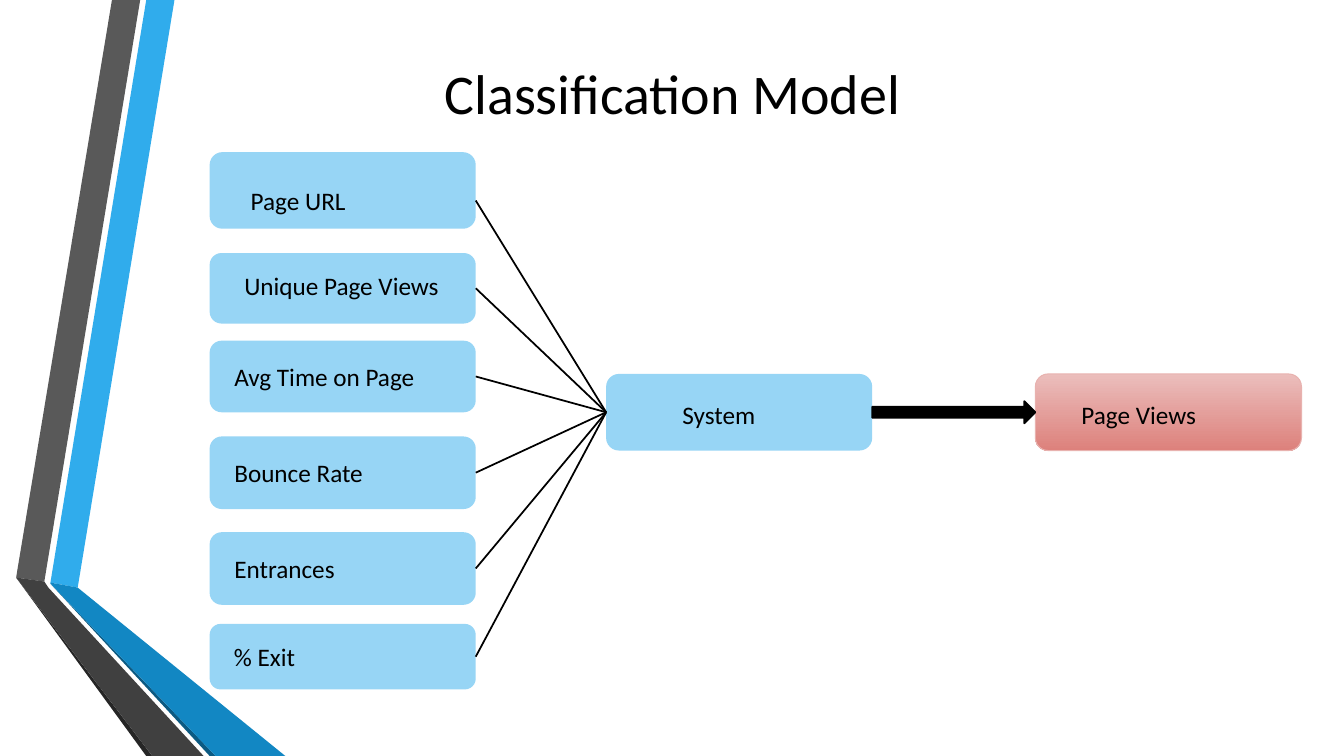
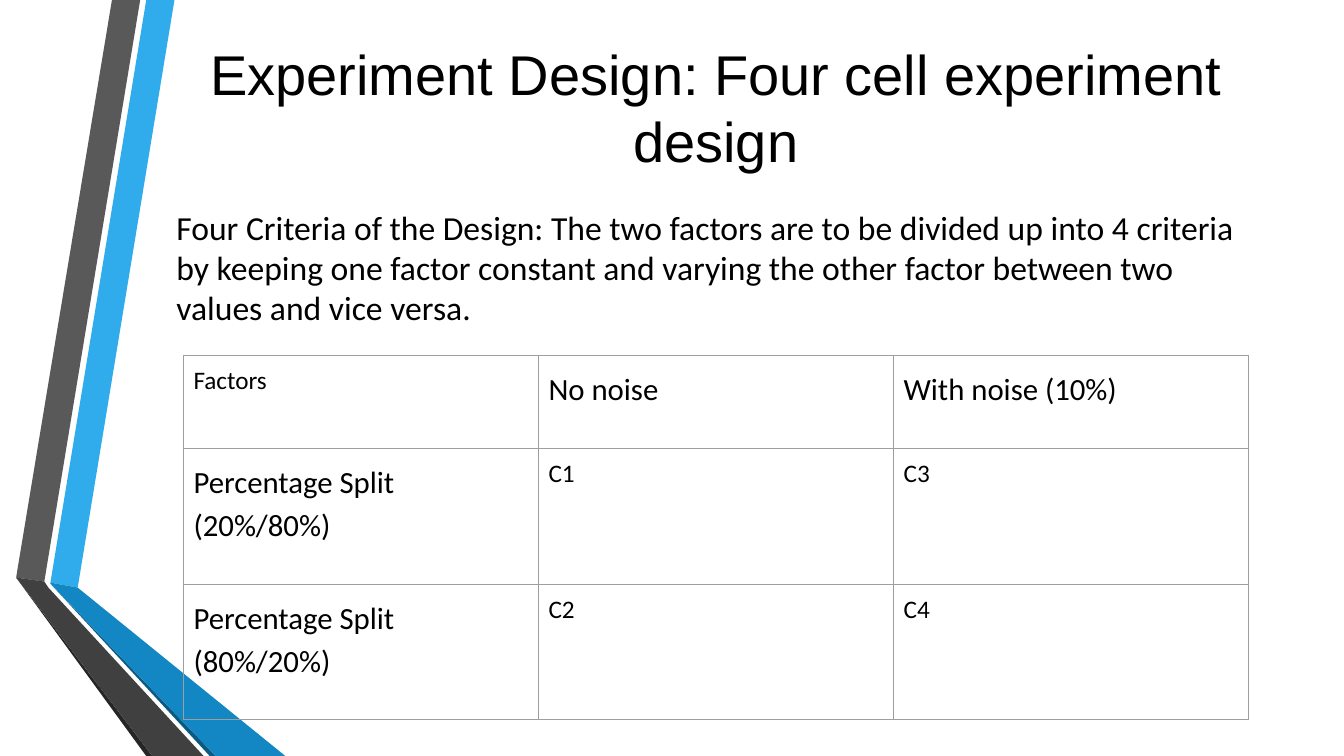
from typing import NamedTuple

from lxml import etree
from pptx import Presentation
from pptx import util as u
from pptx.dml import color
from pptx.enum import shapes, text
from pptx.oxml import ns

# Shared look: lengths are percentages of the slide's width and height
WIDTH, HEIGHT = u.Inches(13.33), u.Inches(7.5)
BLACK, BLUE, GRID_GRAY = "000000", "30ACEC", "9E9E9E"
BODY_FONT, TITLE_FONT_SIZE = "Calibri", 40
WIDE_INSET = u.Inches(0.13)


class Area(NamedTuple):
    left: float
    top: float
    width: float
    height: float

    @property
    def right(self) -> float:
        return self.left + self.width

    @property
    def middle(self) -> float:
        return self.top + self.height / 2


class Band(NamedTuple):
    fill: str
    points: list[tuple[float, float]]


class Node(NamedTuple):
    label: str
    area: Area
    indent: float  # left inset of the label, inches
    drop: float = 0  # label shift below the middle, inches


class Entry(NamedTuple):
    label: str
    size: int
    spacing: float = 1.0


BANDS = [
    Band(BLUE, [(3.75, 77.07), (5.78, 77.73), (12.98, 0), (10.88, 0)]),
    Band("595959", [(10.43, 0), (8.33, 0), (1.2, 76.4), (3.3, 76.93)]),
    Band("262626", [(1.2, 76.4), (10.88, 100), (11.33, 100)]),
    Band("0C5A82", [(3.75, 77.2), (15.6, 100), (16.05, 100)]),
    Band("1287C3", [(3.75, 77.2), (16.05, 100), (21.23, 100),
                    (5.78, 77.73), (3.75, 77.07)]),
    Band("404040", [(15.15, 100), (3.6, 77.73), (3.3, 76.93),
                    (1.2, 76.4), (11.33, 100)]),
]

# Model diagram
NODE_WIDTH, NODE_HEIGHT = 19.8, 10.13
INPUT_LEFT = 15.6


def input_node(label: str, top: float, height: float, indent: float = 0.21,
               drop: float = 0) -> Node:
    return Node(label, Area(INPUT_LEFT, top, NODE_WIDTH, height), indent, drop)


INPUTS = [
    input_node("Page URL", 20.13, NODE_HEIGHT, 0.37, 0.1),
    input_node("Unique Page Views", 33.47, 9.33, 0.31, -0.03),
    input_node("Avg Time on Page", 45.07, 9.47),
    input_node("Bounce Rate", 57.73, 9.6),
    input_node("Entrances", 70.4, 9.6),
    input_node("% Exit", 82.53, 8.67),
]
SYSTEM = Node("System", Area(45.1, 49.47, NODE_WIDTH, NODE_HEIGHT), 0.72, 0.02)
OUTPUT = Node("Page Views", Area(77.04, 49.47, NODE_WIDTH, NODE_HEIGHT), 0.42, 0.02)
ARROW_HEIGHT = 2.93

# Experiment table
TABLE_AREA = Area(13.65, 47.07, 79.25, 48.1)
ROW_SHARES = [12.3, 17.9, 17.9]
CRITERIA = ("Four Criteria of the Design: The two factors are to be divided up "
            "into 4 criteria by keeping one factor constant and varying the other "
            "factor between two values and vice versa.")


def heading(label: str) -> Entry:
    return Entry(label, 22, 1.15)


def plain(label: str) -> Entry:
    return Entry(label, 18)


ENTRIES = [
    [plain("Factors"), heading("No noise"), heading("With noise (10%)")],
    [heading("Percentage Split (20%/80%)"), plain("C1"), plain("C3")],
    [heading("Percentage Split (80%/20%)"), plain("C2"), plain("C4")],
]


# Shared helpers
def rgb(value: str) -> color.RGBColor:
    return color.RGBColor.from_string(value)


def across(share: float) -> int:
    return u.Emu(round(WIDTH * share / 100))


def down(share: float) -> int:
    return u.Emu(round(HEIGHT * share / 100))


def place(area: Area) -> tuple[int, int, int, int]:
    return (across(area.left), down(area.top),
            across(area.width), down(area.height))


def set_insets(frame, left: int, top: int, right: int, bottom: int) -> None:
    frame.margin_left, frame.margin_top = left, top
    frame.margin_right, frame.margin_bottom = right, bottom


def write(frame, label: str, size: float, font: str = BODY_FONT,
          align=text.PP_ALIGN.LEFT, spacing: float = 1.0) -> None:
    frame.word_wrap = True
    para = frame.paragraphs[0]
    para.text = label
    para.alignment = align
    para.line_spacing = spacing
    para.font.name, para.font.size = font, u.Pt(size)
    para.font.color.rgb = rgb(BLACK)


def paint(shape, fill: str) -> None:
    shape.shadow.inherit = False
    shape.fill.solid()
    shape.fill.fore_color.rgb = rgb(fill)
    shape.line.fill.background()


def new_page(deck, title: str, area: Area, font: str):
    page = deck.slides.add_slide(deck.slide_layouts[5])
    for band in BANDS:
        points = [(across(x), down(y)) for x, y in band.points]
        builder = page.shapes.build_freeform(*points[0], scale=1.0)
        builder.add_line_segments(points[1:], close=True)
        paint(builder.convert_to_shape(), band.fill)
    box = page.shapes.title
    box.left, box.top, box.width, box.height = place(area)
    frame = box.text_frame
    frame.auto_size = text.MSO_AUTO_SIZE.NONE
    frame.vertical_anchor = text.MSO_ANCHOR.MIDDLE
    set_insets(frame, *[WIDE_INSET] * 4)
    write(frame, title, TITLE_FONT_SIZE, font, text.PP_ALIGN.CENTER)
    return page


# Diagram parts
def add_node(page, node: Node):
    box = page.shapes.add_shape(
        shapes.MSO_SHAPE.FLOWCHART_ALTERNATE_PROCESS, *place(node.area))
    paint(box, BLUE)
    frame = box.text_frame
    frame.vertical_anchor = text.MSO_ANCHOR.MIDDLE
    set_insets(frame, u.Inches(node.indent), u.Inches(max(2 * node.drop, 0)),
               0, u.Inches(max(-2 * node.drop, 0)))
    write(frame, node.label, 18)
    return box


def make_translucent(box, percent: int) -> None:
    tint = box.fill.fore_color and box.element.spPr.find(
        f"{ns.qn('a:solidFill')}/{ns.qn('a:srgbClr')}")
    etree.SubElement(tint, ns.qn("a:alpha"), val=str(percent * 1000))


def shade_output(box) -> None:
    box.fill.gradient()
    box.fill.gradient_angle = 270
    for stop, shade in zip(box.fill.gradient_stops, ("EBBEBC", "DD817C")):
        stop.color.rgb = rgb(shade)
    box.line.color.rgb = rgb("E8B2AF")
    box.line.width = u.Pt(0.75)


def link(page, node: Node, box, system_box) -> None:
    start = down(node.area.middle) + u.Inches(max(node.drop, 0))
    line = page.shapes.add_connector(
        shapes.MSO_CONNECTOR.STRAIGHT, across(node.area.right), start,
        across(SYSTEM.area.left), down(SYSTEM.area.middle))
    if node.drop <= 0:
        line.begin_connect(box, 3)
    line.end_connect(system_box, 1)
    line.line.color.rgb = rgb(BLACK)
    line.line.width = u.Pt(1.25)
    etree.SubElement(line.element.spPr, ns.qn("a:effectLst"))


def build_model(deck) -> None:
    page = new_page(deck, "Classification Model",
                    Area(6.9, 3.73, 86.27, 16.93), BODY_FONT)
    input_boxes = [add_node(page, node) for node in INPUTS]
    system_box = add_node(page, SYSTEM)
    for box in [*input_boxes, system_box]:
        make_translucent(box, 50)
    shade_output(add_node(page, OUTPUT))
    for node, box in zip(INPUTS, input_boxes):
        link(page, node, box, system_box)

    # Arrow from the system to its output
    arrow_area = Area(SYSTEM.area.right, SYSTEM.area.middle - ARROW_HEIGHT / 2,
                      OUTPUT.area.left - SYSTEM.area.right, ARROW_HEIGHT)
    arrow = page.shapes.add_shape(shapes.MSO_SHAPE.RIGHT_ARROW, *place(arrow_area))
    paint(arrow, BLACK)
    arrow.line.color.rgb = rgb(BLACK)
    arrow.line.width = u.Pt(1.25)


# Table parts
def add_borders(cell) -> None:
    properties = cell._tc.get_or_add_tcPr()
    for position, side in enumerate(("lnL", "lnR", "lnT", "lnB")):
        border = etree.Element(ns.qn(f"a:{side}"), w=str(u.Pt(0.75)))
        fill = etree.SubElement(border, ns.qn("a:solidFill"))
        etree.SubElement(fill, ns.qn("a:srgbClr"), val=GRID_GRAY)
        properties.insert(position, border)


def build_experiment(deck) -> None:
    page = new_page(deck, "Experiment Design: Four cell experiment design",
                    Area(12.15, 1.33, 82.2, 25.6), "Arial")
    box = page.shapes.add_textbox(*place(Area(12.15, 25.6, 82.2, 20)))
    set_insets(box.text_frame, *[WIDE_INSET] * 4)
    write(box.text_frame, CRITERIA, 24)

    table = page.shapes.add_table(
        len(ENTRIES), len(ENTRIES[0]), *place(TABLE_AREA)).table
    table.first_row = table.horz_banding = False
    for row, share in zip(table.rows, ROW_SHARES):
        row.height = down(share)
    for row, entries in zip(table.rows, ENTRIES):
        for cell, entry in zip(row.cells, entries):
            cell.fill.background()
            add_borders(cell)
            set_insets(cell, *[u.Inches(0.1)] * 4)
            write(cell.text_frame, entry.label, entry.size, spacing=entry.spacing)


def main() -> None:
    deck = Presentation()
    deck.slide_width, deck.slide_height = WIDTH, HEIGHT
    build_model(deck)
    build_experiment(deck)
    deck.save("out.pptx")


if __name__ == "__main__":
    main()
